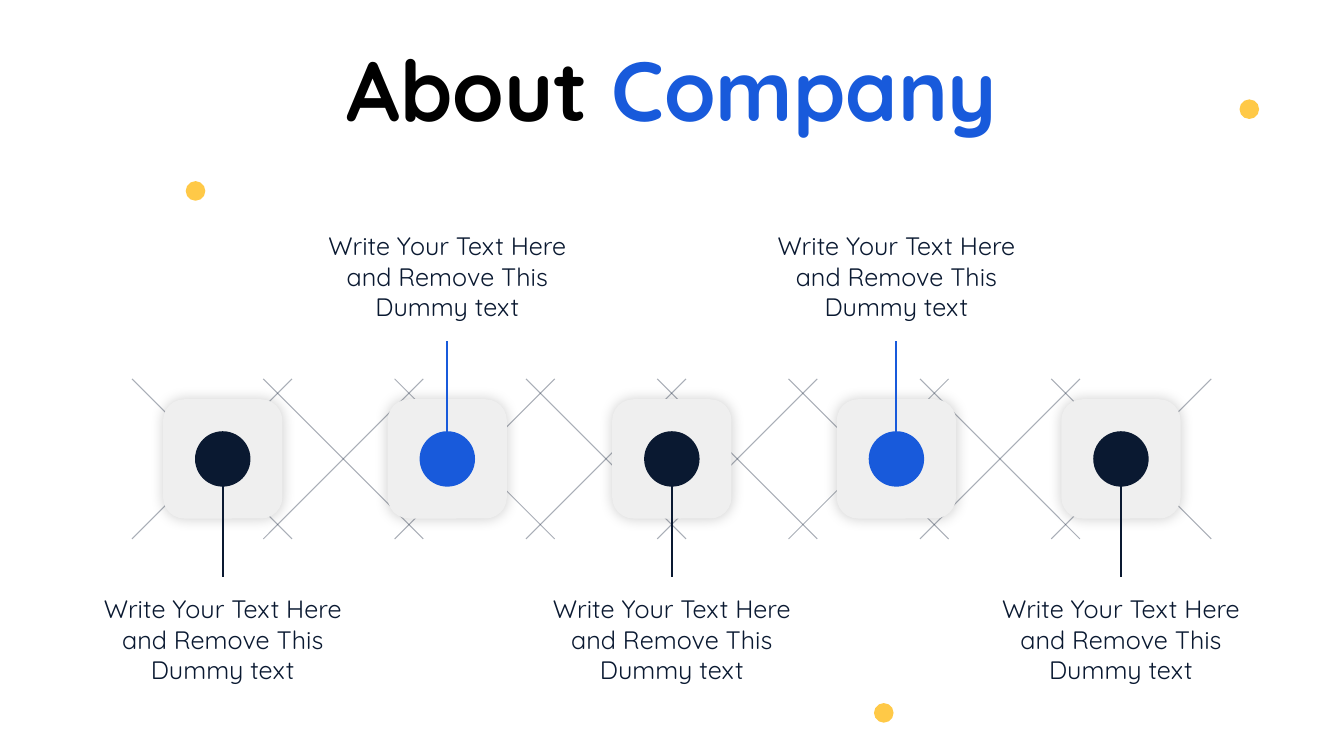
from lxml import etree
from pptx import Presentation
from pptx.dml.color import RGBColor
from pptx.enum import shapes, text
from pptx.oxml.ns import qn
from pptx.util import Pt

COLORS = {"navy": "0A1931", "blue": "185ADB", "tile": "EFEFEF",
          "yellow": "FFC947", "black": "000000"}
FONT = "Quicksand"

TITLE = [("About ", "black"), ("Company", "blue")]
STEPS = [  # text, colour, side of the row (1 below, -1 above)
    ("Write Your Text Here and Remove This Dummy text", "navy", 1),
    ("Write Your Text Here and Remove This Dummy text", "blue", -1),
    ("Write Your Text Here and Remove This Dummy text", "navy", 1),
    ("Write Your Text Here and Remove This Dummy text", "blue", -1),
    ("Write Your Text Here and Remove This Dummy text", "navy", 1),
]
ACCENTS = [(139.7, 136.4), (892.4, 78), (631.3, 509.2)]  # dot centres

ROW_Y = 327.8
FIRST_X, STEP_GAP = 159.1, 160.4
TILE, TILE_RADIUS, DOT, ACCENT, STEM = 85.2, 15.2, 39.6, 14, 84.3
TEXT_WIDTH, TEXT_HEIGHT = 195.8, 72.7
TEXT_TOP = {-1: 161.3, 1: 420.5}
CROSSES, CROSS_LEFT, CROSS_GAP, CROSS = 8, 94.3, 93.8, 114.3


def rgb(name):
    return RGBColor.from_string(COLORS[name])


def add_centred(kind, x, y, size, color):
    """Add a borderless square-proportioned shape centred on x, y."""
    shape = slide.shapes.add_shape(
        kind, Pt(x - size / 2), Pt(y - size / 2), Pt(size), Pt(size))
    shape.shadow.inherit = False
    shape.fill.solid()
    shape.fill.fore_color.rgb = rgb(color)
    shape.line.fill.background()
    return shape


def add_line(parent, x1, y1, x2, y2, color, width):
    line = parent.add_connector(
        shapes.MSO_CONNECTOR.STRAIGHT, Pt(x1), Pt(y1), Pt(x2), Pt(y2))
    line.line.color.rgb = rgb(color)
    line.line.width = Pt(width)
    etree.SubElement(line._element.spPr, qn("a:effectLst"))
    return line


def set_alpha(parent, percent):
    color = next(parent.iter(qn("a:srgbClr")))
    etree.SubElement(color, qn("a:alpha"), val=str(percent * 1000))


def add_glow_shadow(shape):
    effects = shape._element.spPr.find(qn("a:effectLst"))
    shadow = etree.SubElement(effects, qn("a:outerShdw"), blurRad=str(Pt(10)),
                              dist="0", dir="0", algn="ctr", rotWithShape="0")
    etree.SubElement(shadow, qn("a:srgbClr"), val=COLORS["black"])
    set_alpha(shadow, 20)


def add_run(paragraph, words, size, color, bold=False):
    run = paragraph.add_run()
    run.text = words
    run.font.name, run.font.size, run.font.bold = FONT, Pt(size), bold
    run.font.color.rgb = rgb(color)


presentation = Presentation()
presentation.slide_width, presentation.slide_height = Pt(960), Pt(540)
slide = presentation.slides.add_slide(presentation.slide_layouts[5])

# Lattice behind the row
lattice = slide.shapes.add_group_shape().shapes
top, bottom = ROW_Y - CROSS / 2, ROW_Y + CROSS / 2
for start, end in ((top, bottom), (bottom, top)):
    for i in range(CROSSES):
        left = CROSS_LEFT + i * CROSS_GAP
        line = add_line(lattice, left, start, left + CROSS, end, "navy", 0.75)
        set_alpha(line._element.spPr, 35)

# Steps
for i, (words, color, side) in enumerate(STEPS):
    x = FIRST_X + i * STEP_GAP
    tile = add_centred(shapes.MSO_SHAPE.ROUNDED_RECTANGLE, x, ROW_Y, TILE, "tile")
    tile.adjustments[0] = TILE_RADIUS / TILE
    add_glow_shadow(tile)
    add_centred(shapes.MSO_SHAPE.OVAL, x, ROW_Y, DOT, color)
    add_line(slide.shapes, x, ROW_Y, x, ROW_Y + side * STEM, color, 1.5)

    label = slide.shapes.add_textbox(Pt(x - TEXT_WIDTH / 2), Pt(TEXT_TOP[side]),
                                     Pt(TEXT_WIDTH), Pt(TEXT_HEIGHT))
    label.text_frame.word_wrap = True
    paragraph = label.text_frame.paragraphs[0]
    paragraph.alignment = text.PP_ALIGN.CENTER
    add_run(paragraph, words, 18, "navy")

# Title
title = slide.shapes.title
title.left, title.top, title.width, title.height = Pt(237), Pt(23), Pt(486), Pt(80)
frame = title.text_frame
frame.word_wrap = False
frame.auto_size = text.MSO_AUTO_SIZE.NONE
frame.vertical_anchor = text.MSO_ANCHOR.TOP
frame.paragraphs[0].alignment = text.PP_ALIGN.CENTER
for words, color in TITLE:
    add_run(frame.paragraphs[0], words, 60, color, bold=True)

for x, y in ACCENTS:
    add_centred(shapes.MSO_SHAPE.OVAL, x, y, ACCENT, "yellow")

presentation.save("out.pptx")
